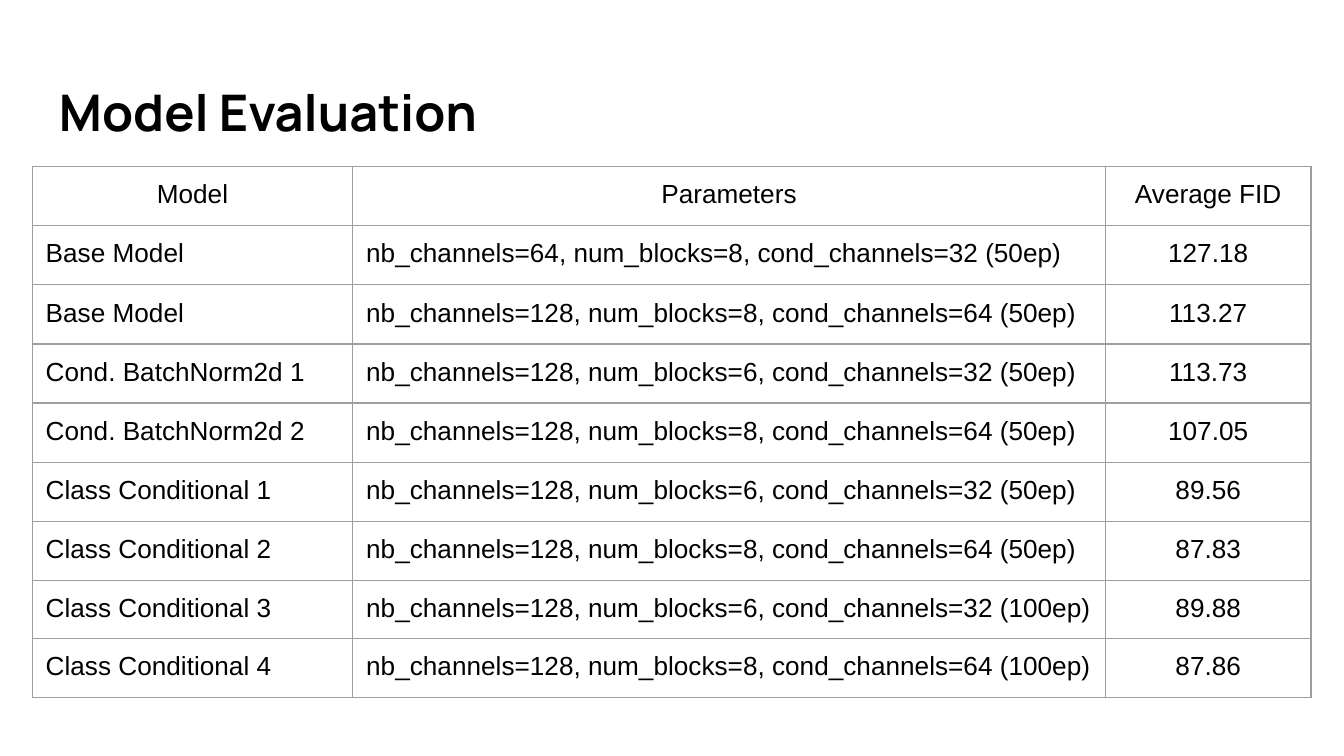
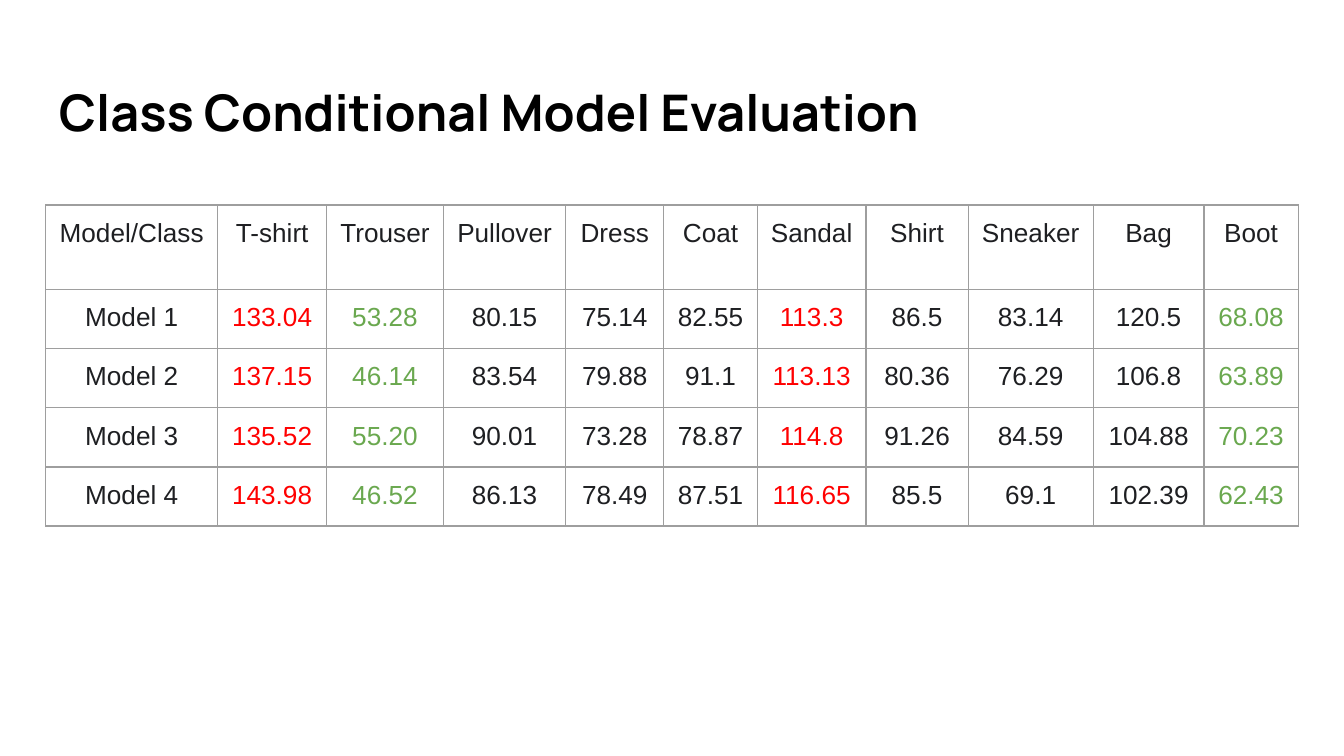
from dataclasses import dataclass

from lxml import etree
from pptx import Presentation
from pptx import util as u
from pptx.dml.color import RGBColor
from pptx.enum import text
from pptx.oxml import ns


@dataclass(frozen=True)
class Theme:
    """Colours, fonts and type sizes of both slides."""
    black: str = "000000"
    ink: str = "1E1F22"
    worst: str = "FF0000"
    best: str = "6AA84F"
    background: str = "FFFFFF"
    border: str = "9E9E9E"
    title_font: str = "Manrope"
    body_font: str = "Arial"
    title_size: int = 27
    body_size: int = 14
    border_width: float = 0.75


THEME = Theme()
EMU_PER_PX = 4572
SLIDE_SIZE = (2000, 1125)
TITLE_BOX = (68, 98, 1864, 136)
INSET = 20
ROW_HEIGHT = 88
LEFT, CENTER = text.PP_ALIGN.LEFT, text.PP_ALIGN.CENTER

MODEL_HEADER = ("Model", "Parameters", "Average FID")
MODELS = [
    ("Base Model", 64, 8, 32, 50, "127.18"),
    ("Base Model", 128, 8, 64, 50, "113.27"),
    ("Cond. BatchNorm2d 1", 128, 6, 32, 50, "113.73"),
    ("Cond. BatchNorm2d 2", 128, 8, 64, 50, "107.05"),
    ("Class Conditional 1", 128, 6, 32, 50, "89.56"),
    ("Class Conditional 2", 128, 8, 64, 50, "87.83"),
    ("Class Conditional 3", 128, 6, 32, 100, "89.88"),
    ("Class Conditional 4", 128, 8, 64, 100, "87.86"),
]

CLASS_ROWS = [
    ("Model/Class", "T-shirt", "Trouser", "Pullover", "Dress", "Coat",
     "Sandal", "Shirt", "Sneaker", "Bag", "Boot"),
    ("Model 1", "133.04", "53.28", "80.15", "75.14", "82.55",
     "113.3", "86.5", "83.14", "120.5", "68.08"),
    ("Model 2", "137.15", "46.14", "83.54", "79.88", "91.1",
     "113.13", "80.36", "76.29", "106.8", "63.89"),
    ("Model 3", "135.52", "55.20", "90.01", "73.28", "78.87",
     "114.8", "91.26", "84.59", "104.88", "70.23"),
    ("Model 4", "143.98", "46.52", "86.13", "78.49", "87.51",
     "116.65", "85.5", "69.1", "102.39", "62.43"),
]
CLASS_COLORS = {"T-shirt": THEME.worst, "Sandal": THEME.worst,
                "Trouser": THEME.best, "Boot": THEME.best}


def px(length):
    """Turn px into EMU."""
    return u.Emu(length * EMU_PER_PX)


def style_paragraph(paragraph, font_name, size, color, align=LEFT, bold=False):
    """Set the alignment and font of a paragraph."""
    paragraph.alignment = align
    font = paragraph.font
    font.name, font.size, font.bold = font_name, u.Pt(size), bold
    font.color.rgb = RGBColor.from_string(color)


def add_title(slide, box, wording):
    """Place the slide title in its box."""
    frame = slide.shapes.add_textbox(*map(px, box)).text_frame
    frame.word_wrap = True
    frame.vertical_anchor = text.MSO_ANCHOR.MIDDLE
    frame.margin_left = frame.margin_right = px(INSET)
    frame.margin_top = frame.margin_bottom = px(INSET)
    frame.text = wording
    style_paragraph(frame.paragraphs[0], THEME.title_font, THEME.title_size,
                    THEME.black, bold=True)


def add_borders(cell):
    """Draw the four borders of a cell."""
    properties = cell._tc.get_or_add_tcPr()
    for side in ("a:lnL", "a:lnR", "a:lnT", "a:lnB"):
        line = etree.SubElement(properties, ns.qn(side),
                                w=str(u.Pt(THEME.border_width)))
        fill = etree.SubElement(line, ns.qn("a:solidFill"))
        etree.SubElement(fill, ns.qn("a:srgbClr"), val=THEME.border)


def fill_cell(cell, wording, color, align):
    """Write one bordered cell."""
    cell.margin_left = cell.margin_right = px(INSET)
    cell.margin_top = cell.margin_bottom = px(INSET)
    add_borders(cell)
    cell.fill.background()
    cell.text = wording
    style_paragraph(cell.text_frame.paragraphs[0], THEME.body_font,
                    THEME.body_size, color, align)


def add_grid(slide, origin, widths, heights, rows, color_of, align_of):
    """Place a table whose cell colour and alignment follow two rules."""
    size = (sum(widths), sum(heights))
    table = slide.shapes.add_table(len(rows), len(widths),
                                   *map(px, origin + size)).table
    table.first_row = table.horz_banding = False
    for column, width in zip(table.columns, widths):
        column.width = px(width)
    for row, height in zip(table.rows, heights):
        row.height = px(height)
    for r, row in enumerate(rows):
        for c, wording in enumerate(row):
            fill_cell(table.cell(r, c), wording, color_of(r, c), align_of(r, c))


def add_slide(presentation, title):
    """Add a blank slide with the shared background and title."""
    slide = presentation.slides.add_slide(presentation.slide_layouts[6])
    slide.background.fill.solid()
    slide.background.fill.fore_color.rgb = RGBColor.from_string(THEME.background)
    add_title(slide, TITLE_BOX, title)
    return slide


def build_model_slide(presentation):
    """Compare the models by parameters and average FID."""
    slide = add_slide(presentation, "Model Evaluation")
    rows = [MODEL_HEADER] + [
        (name, f"nb_channels={channels}, num_blocks={blocks}, "
               f"cond_channels={conditions} ({epochs}ep)", fid)
        for name, channels, blocks, conditions, epochs, fid in MODELS]
    heights = [ROW_HEIGHT] * 7 + [84, ROW_HEIGHT]
    add_grid(slide, (48, 248), (477, 1120, 306), heights, rows,
             lambda r, c: THEME.black,
             lambda r, c: CENTER if r == 0 or c == 2 else LEFT)


def build_class_slide(presentation):
    """Compare the class conditional models by class."""
    slide = add_slide(presentation, "Class Conditional Model Evaluation")
    widths = (256, 162, 174, 182, 146, 139, 162, 152, 186, 165, 140)
    heights = [126] + [ROW_HEIGHT] * 4
    header = CLASS_ROWS[0]
    add_grid(slide, (68, 305), widths, heights, CLASS_ROWS,
             lambda r, c: CLASS_COLORS.get(header[c], THEME.ink) if r else THEME.ink,
             lambda r, c: CENTER)


def main():
    """Build and save the presentation."""
    presentation = Presentation()
    presentation.slide_width, presentation.slide_height = map(px, SLIDE_SIZE)
    build_model_slide(presentation)
    build_class_slide(presentation)
    presentation.save("out.pptx")


if __name__ == "__main__":
    main()
